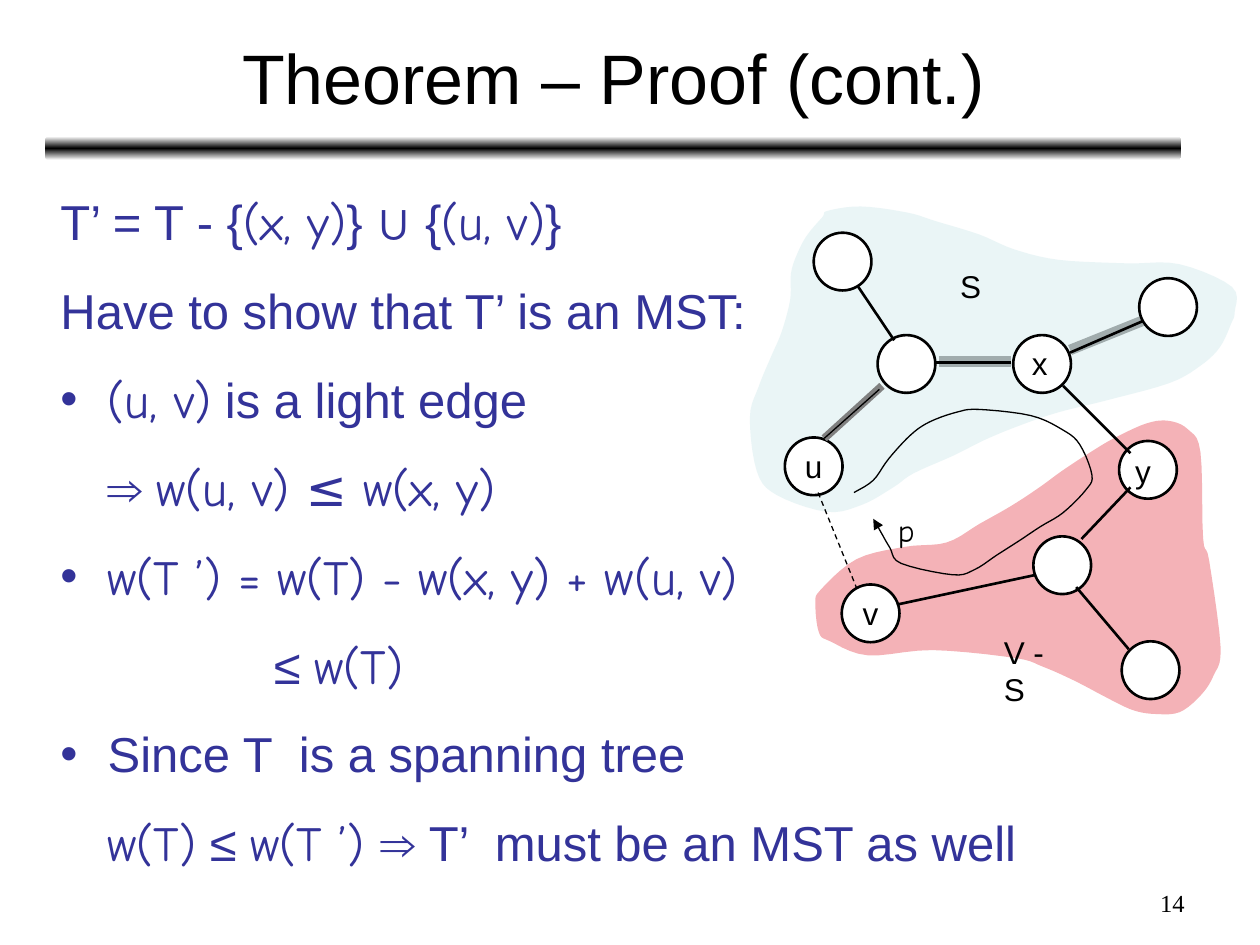
from copy import deepcopy
from pptx import Presentation
from pptx.dml.color import RGBColor
from pptx.enum.dml import MSO_LINE
from pptx.enum.shapes import MSO_CONNECTOR, MSO_SHAPE
from pptx.enum.text import MSO_ANCHOR, PP_ALIGN
from pptx.oxml.ns import qn
from pptx.oxml.xmlchemy import OxmlElement
from pptx.util import Pt

THEME = dict(
    ink="000000", text="333399", white="FFFFFF", teal="BBE0E3", red="DD0111",
    pale="969696", gray="808080", sans="Arial", hand="Comic Neue",
    serif="Times New Roman", title=40, body=28, label=18, num=14)
S, H = THEME["sans"], THEME["hand"]

# Body: left margin, bullet?, runs of (text, font)
BODY = [
    (0, False, [("T’ = T - {", S), ("(x, y)", H), ("} ∪ {", S), ("(u, v)", H), ("}", S)]),
    (0, False, [("Have to show that T’ is an MST:", S)]),
    (27, True, [("(u, v)", H), (" is a light edge", S)]),
    (27, False, [("⇒ ", S), ("w(u, v) ≤ w(x, y)", H)]),
    (27, True, [("w(T ’) = w(T) - w(x, y) + w(u, v)", H)]),
    (122, False, [("≤ ", S), ("w(T)", H)]),
    (27, True, [("Since T  is a spanning tree", S)]),
    (27, False, [("w(T)", H), (" ≤ ", S), ("w(T ’) ", H),
                 ("⇒ T’  must be an MST as well", S)]),
]

# Graph: left, top and label of each node
SIZE = 33
NODES = [(448.5, 250, "u"), (501.5, 191.5, ""), (579, 191.5, ""), (651, 159, ""),
         (639.5, 252, ""), (465, 133, ""), (590.5, 306.5, ""), (641, 366.5, ""),
         (481, 334, "v")]
# Edges: x1, y1, x2, y2
GLOW = [(536.5, 206.5, 578, 206.5), (611.5, 200, 652.5, 183.5)]
EDGES = [(535, 207, 578, 207), (490.5, 164, 511, 194.5), (611.5, 201.5, 653, 183.5),
         (607.5, 220.5, 646, 259), (512.5, 345.5, 592, 328.5),
         (618, 308, 646, 278.5), (615, 335.5, 645, 371)]
LIGHT = (467.5, 281.5, 489.5, 336)
CUT = (504, 220.5, 471, 250.5)
THIN = (471, 250.5, 502.5, 222.5)
# Labels: left, top, width, text, font
LABELS = [(541.5, 149, 26, "S", S), (566.5, 358, 54, "V - S", S),
          (582.5, 193, 23, "x", S), (641.5, 255, 23, "y", S), (506, 288.5, 24, "p", H)]

# Smooth outlines, as knots
RED = [(541, 310), (517, 312.5), (489.5, 319.5), (469, 337), (466, 345), (468, 361.5),
       (474.5, 366.5), (496, 374.5), (533, 371.5), (580, 376), (596, 381), (614, 389),
       (635, 400), (648, 406), (660, 408), (674, 407), (686, 397.5), (693.5, 386),
       (697.5, 370), (691, 320.5), (687.5, 307.5), (686, 258.5), (679, 245.5),
       (668, 240.5), (655, 242), (636.5, 250.5), (623, 258.5), (607, 269),
       (594, 278.5), (578, 289), (559.5, 299.5)]
TEAL = [(470, 124), (461.5, 134), (456, 144), (452, 156), (451.5, 171.5), (446.5, 190),
        (440.5, 204), (433.5, 221), (428.5, 238.5), (432.5, 269.5), (444, 283),
        (472.5, 292.5), (492.5, 288.5), (510.5, 278.5), (522, 270.5), (544.5, 260.5),
        (562.5, 251.5), (580.5, 244), (603.5, 236), (631.5, 229), (668, 219),
        (686, 209), (697, 198.5), (703.5, 185), (705.5, 178.5), (704, 164),
        (674, 151), (643.5, 150.5), (605, 148.5), (579.5, 142.5), (559.5, 134),
        (535, 126.5), (518.5, 121.5), (492, 118), (473, 120.5)]
PATH = [(488, 281.5), (499, 274.5), (508, 262), (520.5, 248.5), (531.5, 241),
        (547, 235.5), (559.5, 234), (589, 237.5), (607, 245.5), (617, 254),
        (624, 271.5), (620.5, 280), (607.5, 293), (594.5, 301), (582.5, 309),
        (570, 317), (557, 325.5), (544.5, 328.5), (515, 322), (508.5, 313),
        (502.5, 302.5), (499, 296.5)]

prs = Presentation()
prs.slide_width, prs.slide_height = Pt(720), Pt(540)
slide = prs.slides.add_slide(prs.slide_layouts[6])
shapes = slide.shapes


def color(key):
    return RGBColor.from_string(THEME[key])


def sub(node, tag, **attrs):
    kid = OxmlElement(tag)
    for key, val in attrs.items():
        kid.set(key, val)
    node.append(kid)
    return kid


def put(para, text, font, size, ink="ink"):
    run = para.add_run()
    run.text = text
    run.font.name, run.font.size = font, Pt(THEME[size])
    run.font.color.rgb = color(ink)


def box(x, y, w, h, wrap=True):
    frame = shapes.add_textbox(Pt(x), Pt(y), Pt(w), Pt(h)).text_frame
    frame.word_wrap = wrap
    return frame


def line(ends, width=1.5, ink="ink"):
    link = shapes.add_connector(MSO_CONNECTOR.STRAIGHT, *map(Pt, ends))
    link.line.width, link.line.color.rgb = Pt(width), color(ink)
    sub(link._element.spPr, "a:effectLst")
    return link


def smooth(knots, closed, steps=5):
    """Sample a Catmull-Rom curve through the knots."""
    n = len(knots)
    at = (lambda i: knots[i % n]) if closed else (lambda i: knots[min(max(i, 0), n - 1)])
    out = [knots[0]]
    for i in range(n if closed else n - 1):
        near = list(zip(*(at(i + k) for k in (-1, 0, 1, 2))))
        for s in range(1, steps + 1):
            t = s / steps
            out.append(tuple(
                (2 * b + (c - a) * t + (2 * a - 5 * b + 4 * c - d) * t ** 2
                 + (3 * b - a - 3 * c + d) * t ** 3) / 2 for a, b, c, d in near))
    return out


def curve(knots, closed):
    # Hundredths of a point keep the curve even
    pts = [(x * 100, y * 100) for x, y in smooth(knots, closed)]
    pen = shapes.build_freeform(*pts[0], scale=Pt(1) / 100)
    pen.add_line_segments(pts[1:], close=closed)
    form = pen.convert_to_shape()
    form.shadow.inherit = False
    return form


def blob(knots, ink):
    form = curve(knots, True)
    form.fill.solid()
    form.fill.fore_color.rgb = color(ink)
    form.line.fill.background()
    tint = form._element.spPr.find(qn("a:solidFill"))[0]
    sub(tint, "a:alpha", val="30000")


# Rule under the title: white, black, white
bar = shapes.add_shape(MSO_SHAPE.ROUNDED_RECTANGLE, Pt(26), Pt(78), Pt(649), Pt(13.5))
bar.shadow.inherit = False
bar.line.fill.background()
bar.fill.gradient()
bar.fill.gradient_angle = 90
first, last = bar.fill.gradient_stops
first.color.rgb, last.color.rgb = color("white"), color("ink")
last.position = 0.5
stops = bar._element.spPr.find(qn("a:gradFill")).find(qn("a:gsLst"))
end = deepcopy(stops[0])
end.set("pos", "100000")
stops.append(end)

# Title
head = box(26.5, 8, 648, 71)
head.vertical_anchor = MSO_ANCHOR.MIDDLE
head.paragraphs[0].alignment = PP_ALIGN.CENTER
put(head.paragraphs[0], "Theorem – Proof (cont.)", S, "title")

# Body
body = box(27.5, 96, 648, 426)
for i, (left, dot, runs) in enumerate(BODY):
    para = body.add_paragraph() if i else body.paragraphs[0]
    para.line_spacing, para.space_before = 1.3, Pt(7)
    props = para._p.get_or_add_pPr()
    props.set("marL", str(Pt(left)))
    props.set("indent", str(Pt(-left if dot else 0)))
    if dot:
        sub(sub(props, "a:buClr"), "a:srgbClr", val=THEME["text"])
        sub(props, "a:buFont", typeface=S)
        sub(props, "a:buChar", char="•")
    else:
        sub(props, "a:buNone")
    for text, font in runs:
        put(para, text, font, "body", "text")

# Vertex sets and highlighted edges
blob(RED, "red")
for ends in GLOW:
    line(ends, 6, "pale")
blob(TEAL, "teal")

# Nodes
for x, y, name in NODES:
    node = shapes.add_shape(MSO_SHAPE.OVAL, Pt(x), Pt(y), Pt(SIZE), Pt(SIZE))
    node.shadow.inherit = False
    node.fill.solid()
    node.fill.fore_color.rgb = color("white")
    node.line.width, node.line.color.rgb = Pt(1.5), color("ink")
    if name:
        frame = node.text_frame
        frame.word_wrap, frame.vertical_anchor = False, MSO_ANCHOR.MIDDLE
        frame.paragraphs[0].alignment = PP_ALIGN.CENTER
        put(frame.paragraphs[0], name, S, "label")

# Edges
for ends in EDGES:
    line(ends)
line(LIGHT, 0.75).line.dash_style = MSO_LINE.DASH
line(CUT, 4.5, "gray")
line(THIN, 0.75)

# Path p
trail = curve(PATH, False)
trail.fill.background()
trail.line.width, trail.line.color.rgb = Pt(0.75), color("ink")
sub(trail.line._get_or_add_ln(), "a:tailEnd", type="triangle")

# Labels
for x, y, w, text, font in LABELS:
    put(box(x, y, w, 29, False).paragraphs[0], text, font, "label")

# Page number
foot = box(516, 504, 168, 25).paragraphs[0]
foot.alignment = PP_ALIGN.RIGHT
put(foot, "14", THEME["serif"], "num")

prs.save("out.pptx")
